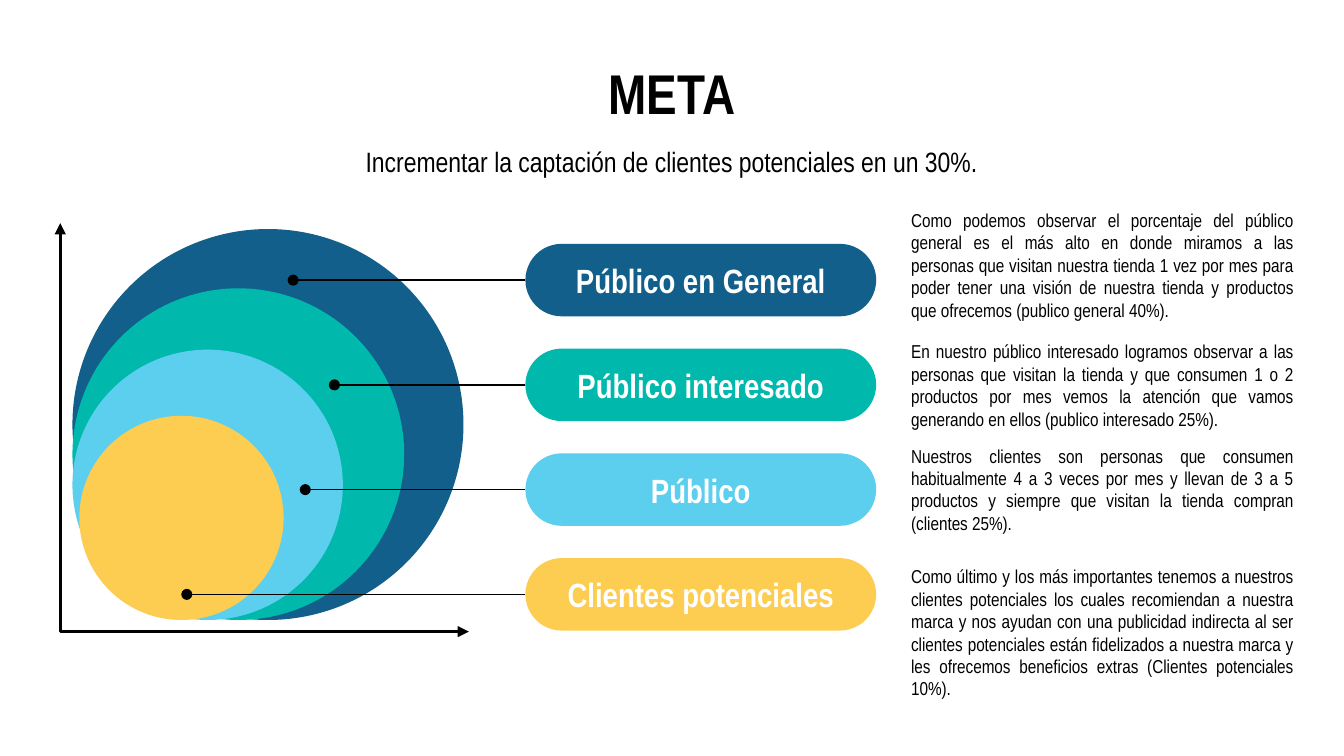
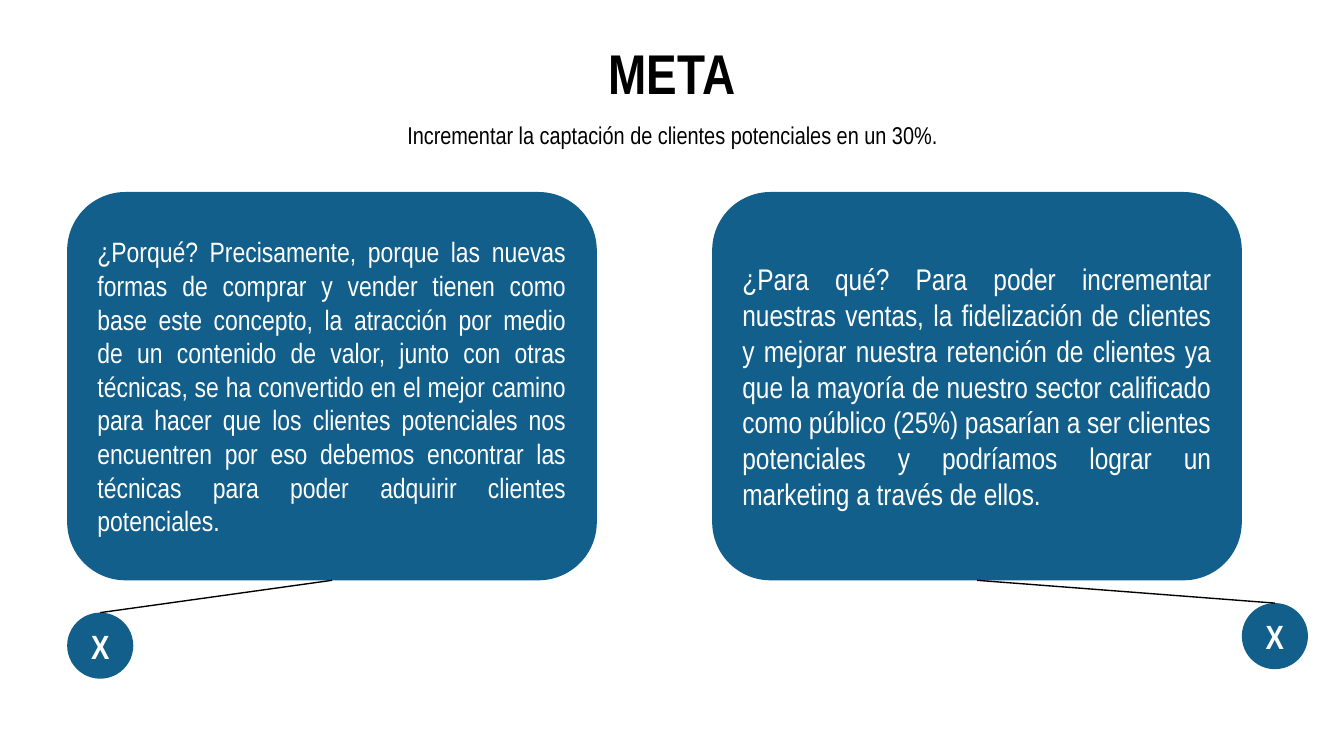
from lxml import etree
from pptx import Presentation
from pptx.dml.color import RGBColor
from pptx.enum.shapes import MSO_CONNECTOR, MSO_SHAPE
from pptx.enum.text import MSO_ANCHOR, PP_ALIGN
from pptx.oxml.ns import qn
from pptx.util import Cm, Pt

ELLIPSE, ROUNDED = MSO_SHAPE.OVAL, MSO_SHAPE.ROUNDED_RECTANGLE
STRAIGHT = MSO_CONNECTOR.STRAIGHT
CENTER, JUSTIFY = PP_ALIGN.CENTER, PP_ALIGN.JUSTIFY
TOP, MIDDLE = MSO_ANCHOR.TOP, MSO_ANCHOR.MIDDLE

FONT = "Arial Narrow"
BLACK = RGBColor(0x00, 0x00, 0x00)
WHITE = RGBColor(0xFF, 0xFF, 0xFF)
BLUE = RGBColor(0x11, 0x5F, 0x8A)
TEAL = RGBColor(0x01, 0xB8, 0xAC)
SKY = RGBColor(0x5C, 0xCF, 0xEE)
YELLOW = RGBColor(0xFD, 0xCD, 0x51)

SLIDE_WIDTH, SLIDE_HEIGHT = 25.4, 14.29
INSET = 0.25

TITLE = "META"
SUBTITLE = "Incrementar la captación de clientes potenciales en un 30%."

AUDIENCES = [
    {"label": "Público en General", "color": BLUE,
     "circle_left": 1.37, "diameter": 7.39, "dot": 5.54,
     "note_top": 3.86, "note_height": 2.29,
     "note": "Como podemos observar el porcentaje del público general es el más "
             "alto en donde miramos a las personas que visitan nuestra tienda 1 "
             "vez por mes para poder tener una visión de nuestra tienda y "
             "productos que ofrecemos (publico general 40%)."},
    {"label": "Público interesado", "color": TEAL,
     "circle_left": 1.37, "diameter": 6.27, "dot": 6.32,
     "note_top": 6.48, "note_height": 1.6,
     "note": "En nuestro público interesado logramos observar a las personas que "
             "visitan la tienda y que consumen 1 o 2 productos por mes vemos la "
             "atención que vamos generando en ellos (publico interesado 25%)."},
    {"label": "Público", "color": SKY,
     "circle_left": 1.37, "diameter": 5.11, "dot": 5.77,
     "note_top": 8.26, "note_height": 1.98,
     "note": "Nuestros clientes son personas que consumen habitualmente 4 a 3 "
             "veces por mes y llevan de 3 a 5 productos y siempre que visitan la "
             "tienda compran (clientes 25%)."},
    {"label": "Clientes potenciales", "color": YELLOW,
     "circle_left": 1.5, "diameter": 3.86, "dot": 3.53,
     "note_top": 10.24, "note_height": 3.43,
     "note": "Como último y los más importantes tenemos a nuestros clientes "
             "potenciales los cuales recomiendan a nuestra marca y nos ayudan con "
             "una publicidad indirecta al ser clientes potenciales están "
             "fidelizados a nuestra marca y les ofrecemos beneficios extras "
             "(Clientes potenciales 10%)."},
]

REASONS = [
    {"left": 1.27, "size": 15, "badge_left": 1.27, "badge_top": 11.58,
     "text": "¿Porqué? Precisamente, porque las nuevas formas de comprar y vender "
             "tienen como base este concepto, la atracción por medio de un "
             "contenido de valor, junto con otras técnicas, se ha convertido en "
             "el mejor camino para hacer que los clientes potenciales nos "
             "encuentren por eso debemos encontrar las técnicas para poder "
             "adquirir clientes potenciales."},
    {"left": 13.46, "size": 16, "badge_left": 23.47, "badge_top": 11.4,
     "text": "¿Para qué? Para poder incrementar nuestras ventas, la fidelización "
             "de clientes y mejorar nuestra retención de clientes ya que la "
             "mayoría de nuestro sector calificado como público (25%) pasarían a "
             "ser clientes potenciales y podríamos lograr un marketing a través "
             "de ellos."},
]
BADGE = "X"

CIRCLES_BOTTOM = 11.72
AXIS_LEFT, AXIS_TOP, AXIS_LENGTH = 1.14, 4.22, 7.72
PILL_LEFT, PILL_TOP, PILL_WIDTH, PILL_HEIGHT, PILL_PITCH = 9.93, 4.61, 6.63, 1.37, 1.98
NOTE_LEFT, NOTE_WIDTH = 16.97, 7.72
CARD_TOP, CARD_WIDTH, CARD_HEIGHT, CARD_ROUNDING = 3.63, 10.01, 7.34, 0.15
BADGE_DIAMETER = 1.25


def write(shape, text, size, color, align=CENTER, bold=False, anchor=MIDDLE, inset_top=INSET):
    frame = shape.text_frame
    frame.text = text
    frame.word_wrap = True
    frame.vertical_anchor = anchor
    frame.margin_left = frame.margin_right = frame.margin_bottom = Cm(INSET)
    frame.margin_top = Cm(inset_top)
    paragraph = frame.paragraphs[0]
    paragraph.alignment = align
    font = paragraph.runs[0].font
    font.name, font.size, font.bold = FONT, Pt(size), bold
    font.color.rgb = color


def add_text(slide, left, top, width, height, *content, **style):
    box = slide.shapes.add_textbox(Cm(left), Cm(top), Cm(width), Cm(height))
    write(box, *content, **style)


def add_filled(slide, kind, left, top, width, height, color, rounding=None):
    shape = slide.shapes.add_shape(kind, Cm(left), Cm(top), Cm(width), Cm(height))
    shape.shadow.inherit = False
    shape.fill.solid()
    shape.fill.fore_color.rgb = color
    shape.line.fill.background()
    if rounding is not None:
        shape.adjustments[0] = rounding
    return shape


def style_line(shape, width, **ends):
    shape.line.color.rgb = BLACK
    shape.line.width = Pt(width)
    outline = shape.line._get_or_add_ln()
    for end, kind in ends.items():
        etree.SubElement(outline, qn(f"a:{end}"), type=kind)


def add_line(slide, start_x, start_y, end_x, end_y, **ends):
    line = slide.shapes.add_connector(STRAIGHT, Cm(start_x), Cm(start_y), Cm(end_x), Cm(end_y))
    style_line(line, 0.75, **ends)
    etree.SubElement(line._element.spPr, qn("a:effectLst"))


def add_axes(slide):
    bottom = Cm(AXIS_TOP + AXIS_LENGTH)
    builder = slide.shapes.build_freeform(Cm(AXIS_LEFT), Cm(AXIS_TOP))
    builder.add_line_segments(
        [(Cm(AXIS_LEFT), bottom), (Cm(AXIS_LEFT + AXIS_LENGTH), bottom)], close=False)
    axes = builder.convert_to_shape()
    axes.shadow.inherit = False
    axes.fill.background()
    style_line(axes, 1.5, headEnd="triangle", tailEnd="triangle")


def add_goal_slide(presentation, title_top, subtitle_top, subtitle_height, subtitle_size, **style):
    slide = presentation.slides.add_slide(presentation.slide_layouts[6])
    add_text(slide, 1.27, title_top, 22.86, 1.6, TITLE, 30, BLACK, bold=True, anchor=TOP)
    add_text(slide, 4.7, subtitle_top, 16, subtitle_height,
             SUBTITLE, subtitle_size, BLACK, **style)
    return slide


def build_audience_slide(presentation):
    slide = add_goal_slide(presentation, 0.86, 2.74, 1.22, 15, anchor=TOP, inset_top=0)
    for audience in AUDIENCES:
        diameter = audience["diameter"]
        add_filled(slide, ELLIPSE, audience["circle_left"], CIRCLES_BOTTOM - diameter,
                   diameter, diameter, audience["color"])
    add_axes(slide)
    for index, audience in enumerate(AUDIENCES):
        top = PILL_TOP + index * PILL_PITCH
        middle = top + PILL_HEIGHT / 2
        add_line(slide, PILL_LEFT, middle, audience["dot"], middle, tailEnd="oval")
        pill = add_filled(slide, ROUNDED, PILL_LEFT, top, PILL_WIDTH, PILL_HEIGHT,
                          audience["color"], 0.5)
        write(pill, audience["label"], 18, WHITE, bold=True)
        add_text(slide, NOTE_LEFT, audience["note_top"], NOTE_WIDTH, audience["note_height"],
                 audience["note"], 10, BLACK, align=JUSTIFY)


def build_reason_slide(presentation):
    slide = add_goal_slide(presentation, 0.48, 2.06, 0.97, 13)
    for reason in REASONS:
        card = add_filled(slide, ROUNDED, reason["left"], CARD_TOP, CARD_WIDTH, CARD_HEIGHT,
                          BLUE, CARD_ROUNDING)
        write(card, reason["text"], reason["size"], WHITE, align=JUSTIFY)
        badge = add_filled(slide, ELLIPSE, reason["badge_left"], reason["badge_top"],
                           BADGE_DIAMETER, BADGE_DIAMETER, BLUE)
        write(badge, BADGE, 18, WHITE, bold=True)
        add_line(slide, reason["left"] + CARD_WIDTH / 2, CARD_TOP + CARD_HEIGHT,
                 reason["badge_left"] + BADGE_DIAMETER / 2, reason["badge_top"])


def main():
    presentation = Presentation()
    presentation.slide_width = Cm(SLIDE_WIDTH)
    presentation.slide_height = Cm(SLIDE_HEIGHT)
    build_audience_slide(presentation)
    build_reason_slide(presentation)
    presentation.save("out.pptx")


if __name__ == "__main__":
    main()
